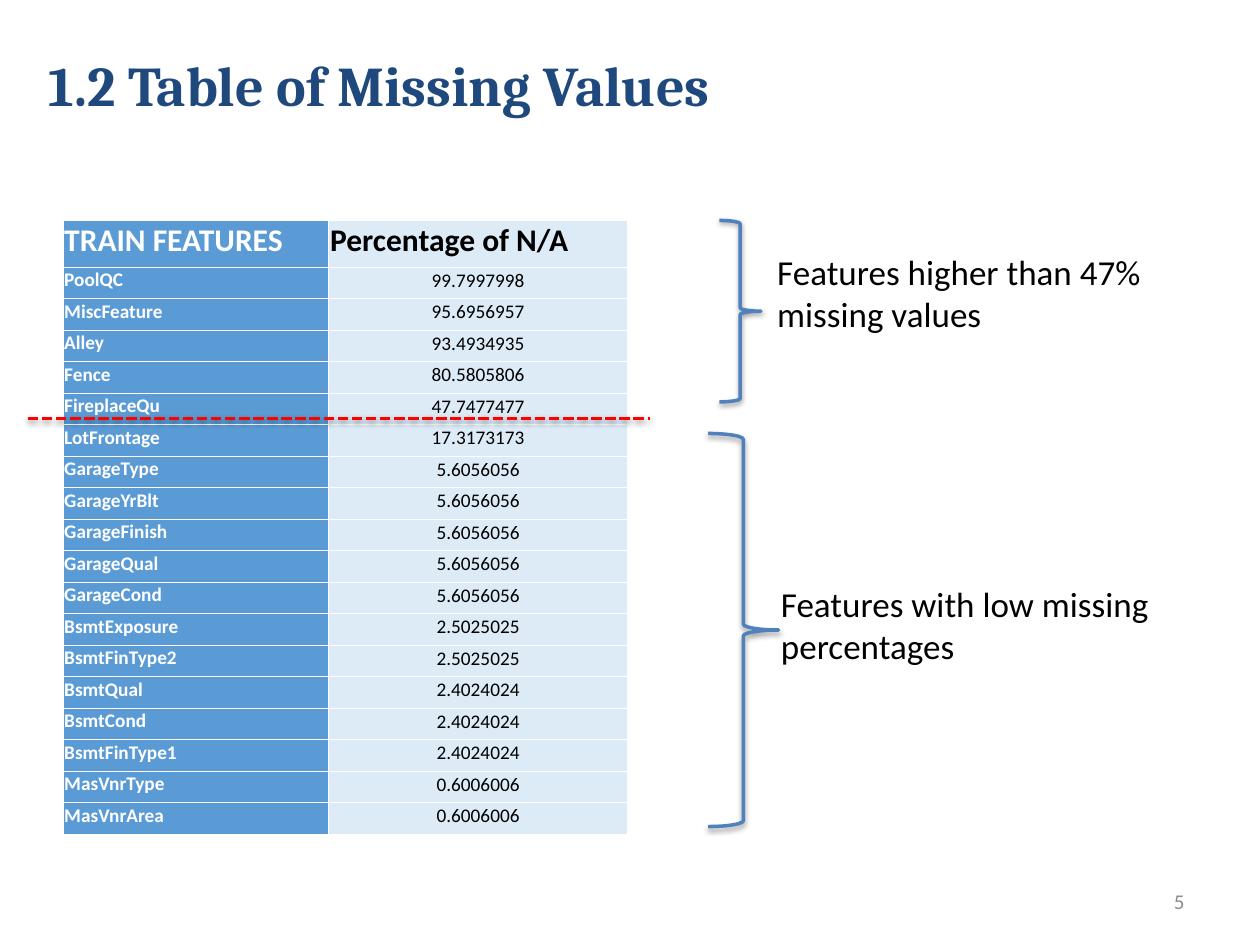
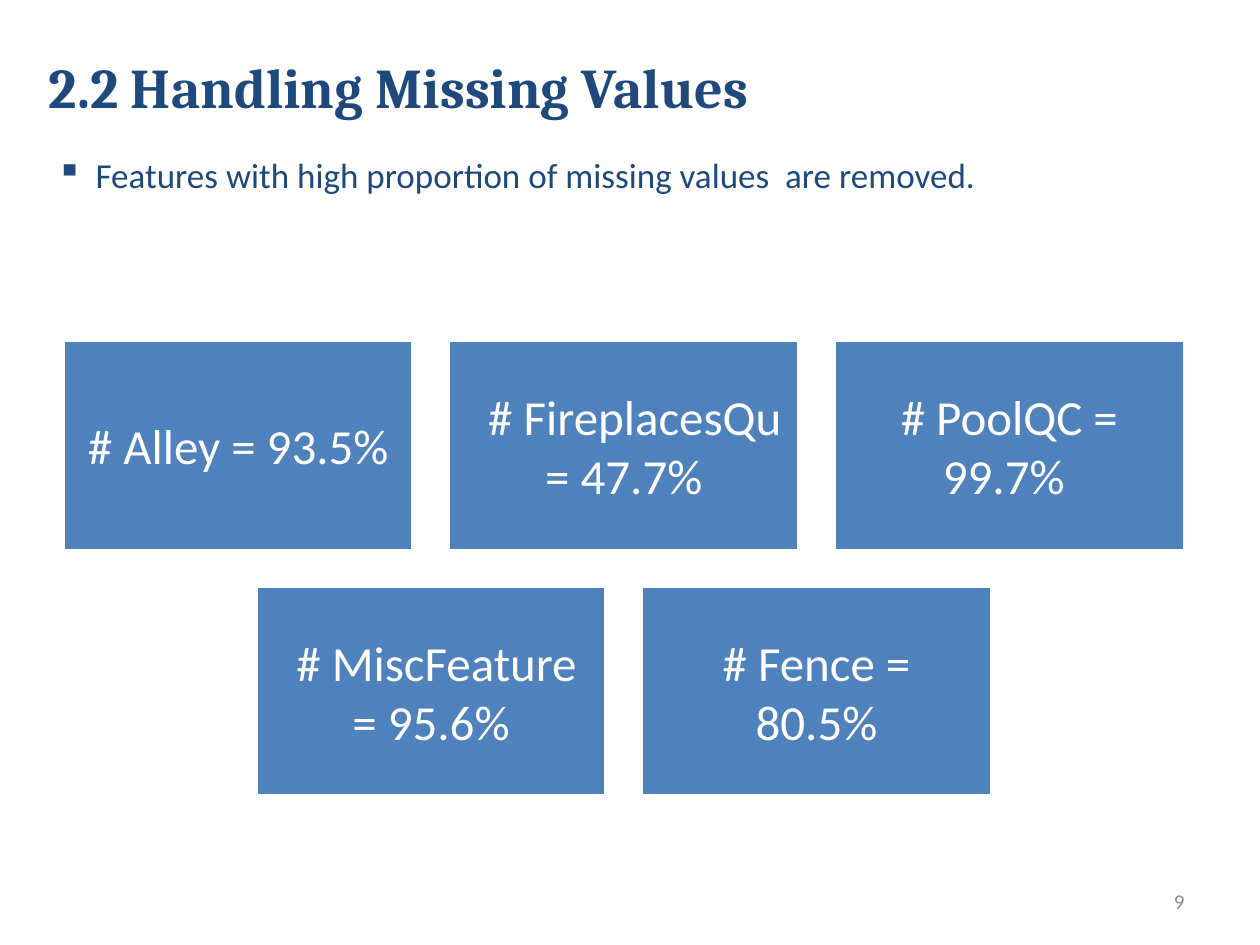
"""Build two slides about missing values in the training features."""
from lxml.etree import SubElement
from pptx import Presentation
from pptx.dml.color import RGBColor
from pptx.enum.dml import MSO_LINE
from pptx.enum.shapes import MSO_CONNECTOR, MSO_SHAPE
from pptx.enum.text import MSO_ANCHOR, PP_ALIGN
from pptx.oxml import parse_xml
from pptx.oxml.ns import nsdecls, qn
from pptx.util import Inches, Pt

NAVY = RGBColor(0x1F, 0x49, 0x7D)
BLUE = RGBColor(0x4F, 0x81, 0xBD)
NAME_FILL = RGBColor(0x5B, 0x9B, 0xD5)
VALUE_FILL = RGBColor(0xDD, 0xEB, 0xF7)
GRAY = RGBColor(0x8C, 0x8C, 0x8C)
RED = RGBColor(0xFF, 0x00, 0x00)
BLACK = RGBColor(0x00, 0x00, 0x00)
WHITE = RGBColor(0xFF, 0xFF, 0xFF)

TABLE_ROWS = [
    ("TRAIN FEATURES", "Percentage of N/A"),
    ("PoolQC", "99.7997998"),
    ("MiscFeature", "95.6956957"),
    ("Alley", "93.4934935"),
    ("Fence", "80.5805806"),
    ("FireplaceQu", "47.7477477"),
    ("LotFrontage", "17.3173173"),
    ("GarageType", "5.6056056"),
    ("GarageYrBlt", "5.6056056"),
    ("GarageFinish", "5.6056056"),
    ("GarageQual", "5.6056056"),
    ("GarageCond", "5.6056056"),
    ("BsmtExposure", "2.5025025"),
    ("BsmtFinType2", "2.5025025"),
    ("BsmtQual", "2.4024024"),
    ("BsmtCond", "2.4024024"),
    ("BsmtFinType1", "2.4024024"),
    ("MasVnrType", "0.6006006"),
    ("MasVnrArea", "0.6006006"),
]
COLUMN_WIDTHS = (2.11, 2.37)
HEADER_HEIGHT, ROW_HEIGHT = 0.37, 0.25

BRACES = [
    ((5.71, 1.75, 0.33, 1.44), "Features higher than 47% missing values", (6.07, 1.94, 3.21, 0.77)),
    ((5.62, 3.44, 0.56, 3.12), "Features with low missing percentages", (6.1, 4.57, 3.77, 0.77)),
]

REMOVAL_NOTE = "Features with high proportion of missing values  are removed."
REMOVED_ROWS = [
    ["# Alley = 93.5%", "  # FireplacesQu = 47.7%", "# PoolQC = 99.7% "],
    [" # MiscFeature = 95.6%", "# Fence = 80.5%"],
]
CARD_WIDTH, CARD_HEIGHT, CARD_GAP = 2.78, 1.67, 0.28
CARDS_CENTER, CARDS_TOP = 4.95, 2.7


def style_text(frame, size, color, font="Calibri", bold=False, align=PP_ALIGN.LEFT):
    for para in frame.paragraphs:
        para.alignment = align
        for span in para.runs:
            span.font.name = font
            span.font.size = Pt(size)
            span.font.bold = bold
            span.font.color.rgb = color


def add_text(page, place, text, size, color, anchor=MSO_ANCHOR.TOP, **style):
    box = page.shapes.add_textbox(*map(Inches, place))
    frame = box.text_frame
    frame.word_wrap = True
    frame.vertical_anchor = anchor
    frame.text = text
    style_text(frame, size, color, **style)
    return box


def add_page(deck, title, title_top, number):
    page = deck.slides.add_slide(deck.slide_layouts[6])
    add_text(page, (7.17, 6.95, 2.33, 0.4), number, 12, GRAY, MSO_ANCHOR.MIDDLE, align=PP_ALIGN.RIGHT)
    add_text(page, (0.29, title_top, 9, 1.25), title, 32, NAVY, MSO_ANCHOR.MIDDLE, font="Cambria", bold=True)
    return page


def add_soft_shadow(shape):
    shape._element.spPr.append(parse_xml(
        f'<a:effectLst {nsdecls("a")}><a:outerShdw blurRad="{Pt(3.1)}" dist="{Pt(1.6)}" '
        'dir="5400000" rotWithShape="0"><a:srgbClr val="000000"><a:alpha val="38000"/>'
        '</a:srgbClr></a:outerShdw></a:effectLst>'))


def set_borders(cell):
    properties = cell._tc.get_or_add_tcPr()
    for index, side in enumerate(("lnL", "lnR", "lnT", "lnB")):
        properties.insert(index, parse_xml(
            f'<a:{side} {nsdecls("a")} w="{Pt(0.5)}"><a:solidFill>'
            f'<a:srgbClr val="{WHITE}"/></a:solidFill></a:{side}>'))


def add_missing_table(page):
    heights = [HEADER_HEIGHT] + [ROW_HEIGHT] * (len(TABLE_ROWS) - 1)
    place = (0.5, 1.75, sum(COLUMN_WIDTHS), sum(heights))
    table = page.shapes.add_table(len(TABLE_ROWS), len(COLUMN_WIDTHS), *map(Inches, place)).table
    table.first_row = table.horz_banding = False
    for column, width in zip(table.columns, COLUMN_WIDTHS):
        column.width = Inches(width)
    for row_index, texts in enumerate(TABLE_ROWS):
        table.rows[row_index].height = Inches(heights[row_index])
        for column_index, text in enumerate(texts):
            cell = table.cell(row_index, column_index)
            is_header, is_name = row_index == 0, column_index == 0
            is_value = not (is_header or is_name)
            cell.margin_left = cell.margin_top = cell.margin_right = Inches(0.01)
            cell.margin_bottom = Inches(0.05)
            cell.vertical_anchor = MSO_ANCHOR.BOTTOM if is_value else MSO_ANCHOR.TOP
            cell.fill.solid()
            cell.fill.fore_color.rgb = NAME_FILL if is_name else VALUE_FILL
            cell.text_frame.text = text
            style_text(cell.text_frame, 18 if is_header else 11, WHITE if is_name else BLACK,
                       bold=not is_value, align=PP_ALIGN.CENTER if is_value else PP_ALIGN.LEFT)
            set_borders(cell)


def add_cutoff_line(page):
    line = page.shapes.add_connector(
        MSO_CONNECTOR.STRAIGHT, Inches(0.22), Inches(3.32), Inches(5.16), Inches(3.32))
    line.line.color.rgb = RED
    line.line.width = Pt(2)
    line.line.dash_style = MSO_LINE.SQUARE_DOT
    line.line._ln.find(qn("a:prstDash")).set("val", "sysDash")
    add_soft_shadow(line)


def add_brace(page, place):
    brace = page.shapes.add_shape(MSO_SHAPE.RIGHT_BRACE, *map(Inches, place))
    brace.fill.background()
    brace.line.color.rgb = BLUE
    brace.line.width = Pt(2)
    add_soft_shadow(brace)


def add_bullet(para):
    properties = para._p.get_or_add_pPr()
    properties.set("marL", str(Inches(0.31)))
    properties.set("indent", str(-Inches(0.31)))
    SubElement(properties, qn("a:buChar")).set("char", "▪")


def add_card(page, left, top, text):
    card = page.shapes.add_shape(
        MSO_SHAPE.RECTANGLE, *map(Inches, (left, top, CARD_WIDTH, CARD_HEIGHT)))
    card.shadow.inherit = False
    card.fill.solid()
    card.fill.fore_color.rgb = BLUE
    card.line.color.rgb = WHITE
    card.line.width = Pt(2)
    frame = card.text_frame
    frame.word_wrap = True
    frame.vertical_anchor = MSO_ANCHOR.MIDDLE
    frame.margin_left = frame.margin_right = frame.margin_top = frame.margin_bottom = Inches(0.12)
    frame.text = text
    style_text(frame, 28, WHITE, align=PP_ALIGN.CENTER)


def build_table_page(deck):
    page = add_page(deck, "1.2 Table of Missing Values", 0.04, "5")
    add_missing_table(page)
    add_cutoff_line(page)
    for brace_place, label, label_place in BRACES:
        add_brace(page, brace_place)
        add_text(page, label_place, label, 20, BLACK)


def build_removal_page(deck):
    page = add_page(deck, "2.2 Handling Missing Values", 0.06, "9")
    note = add_text(page, (0.35, 1.17, 9.25, 0.74), REMOVAL_NOTE, 20, NAVY)
    add_bullet(note.text_frame.paragraphs[0])
    for row_index, texts in enumerate(REMOVED_ROWS):
        row_width = len(texts) * (CARD_WIDTH + CARD_GAP) - CARD_GAP
        top = CARDS_TOP + row_index * (CARD_HEIGHT + CARD_GAP)
        for index, text in enumerate(texts):
            left = CARDS_CENTER - row_width / 2 + index * (CARD_WIDTH + CARD_GAP)
            add_card(page, left, top, text)


def main():
    deck = Presentation()
    deck.slide_width, deck.slide_height = Inches(10), Inches(7.5)
    build_table_page(deck)
    build_removal_page(deck)
    deck.save("out.pptx")


if __name__ == "__main__":
    main()
